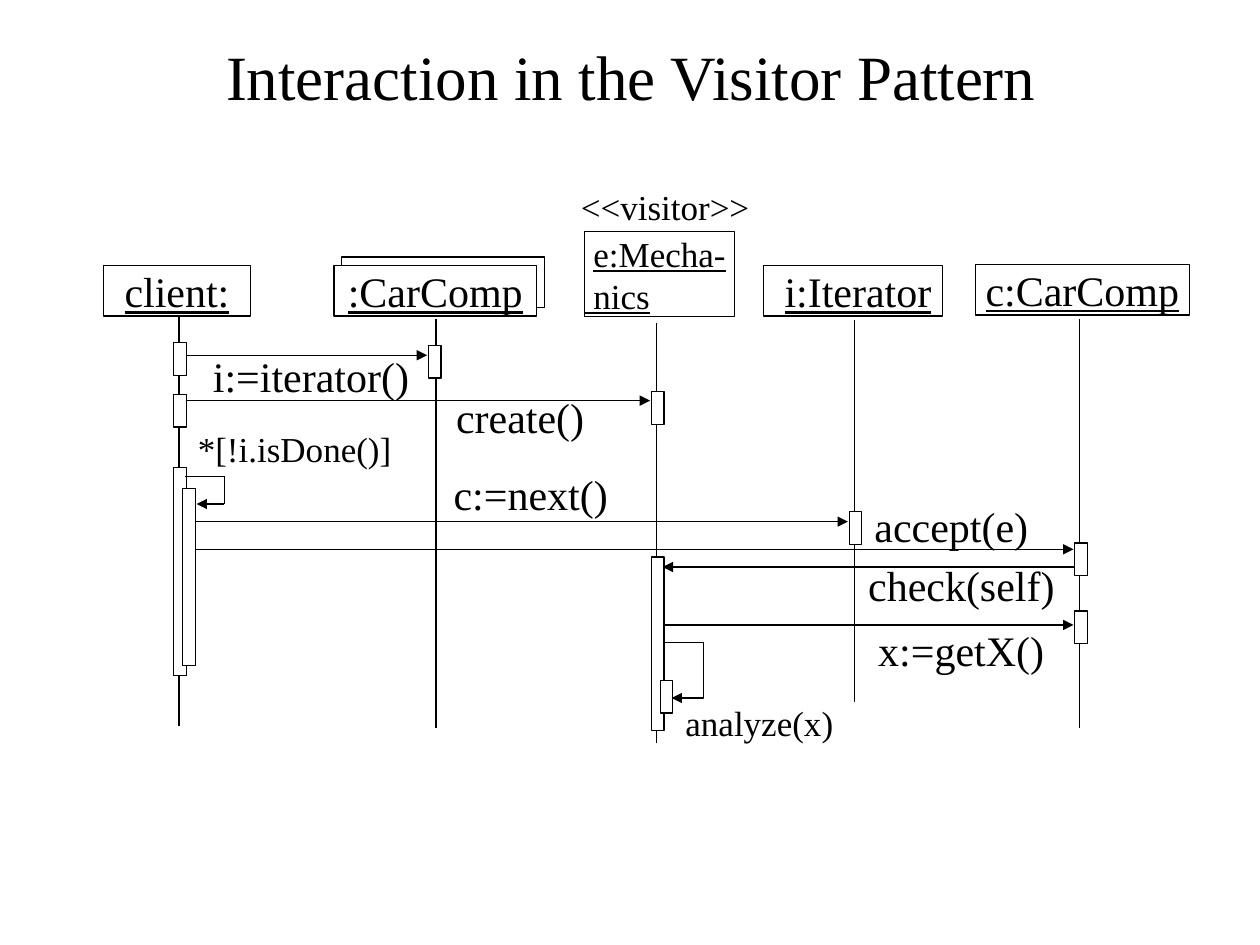
from pptx import Presentation
from pptx.dml.color import RGBColor
from pptx.enum.shapes import MSO_CONNECTOR, MSO_SHAPE
from pptx.enum.text import MSO_ANCHOR, MSO_AUTO_SIZE, PP_ALIGN
from pptx.oxml.ns import qn
from pptx.util import Inches, Pt
from lxml import etree

BLACK = RGBColor(0, 0, 0)
WHITE = RGBColor(255, 255, 255)
FONT = "Times New Roman"
RECT = MSO_SHAPE.RECTANGLE
STRAIGHT, ELBOW = MSO_CONNECTOR.STRAIGHT, MSO_CONNECTOR.ELBOW
LEFT, CENTER = PP_ALIGN.LEFT, PP_ALIGN.CENTER
TOP, MIDDLE = MSO_ANCHOR.TOP, MSO_ANCHOR.MIDDLE
GROW = MSO_AUTO_SIZE.SHAPE_TO_FIT_TEXT

TITLE = "Interaction in the Visitor Pattern"
BAR, CALL = 0.1, 0.26          # width of a bar, height of a short one
ROW = {24: 0.4, 20: 0.33}      # line height by text size

# lifelines: name -> x, top, bottom, left edge of bars
LIVES = {
    "client": (1.42, 2.51, 5.76, 1.38),
    "list": (3.46, 2.53, 5.78, 3.4),
    "visitor": (5.21, 2.56, 5.9, 5.17),
    "iterator": (6.78, 2.54, 5.79, 6.74),
    "comp": (8.57, 2.53, 5.78, 8.53),
}
# heads: lines of (words, underlined) runs, left, top, width, height, size,
# left inset
HEADS = [
    ([[("client:", True)]], 0.82, 2.11, 1.17, 0.4, 24, 0),
    ([], 2.71, 2.04, 1.61, 0.4, 24, 0),
    ([[(":CarComp", True)]], 2.65, 2.11, 1.61, 0.4, 24, 0),
    ([[(" ", False), ("e:Mecha-", True)], [(" nics", True)]],
     4.64, 1.84, 1.19, 0.67, 20, 0),
    ([[("i:Iterator", True)]], 6.06, 2.11, 1.42, 0.4, 24, 0.08),
    ([[("c:CarComp", True)]], 7.74, 2.1, 1.7, 0.4, 24, 0),
]
# bars: lifeline, shift right, top, height
BARS = [
    ("client", 0, 2.72, CALL),
    ("client", 0, 3.13, CALL),
    ("client", 0, 3.71, 1.65),
    ("client", 0.07, 3.88, 1.4),
    ("list", 0, 2.74, CALL),
    ("visitor", 0, 3.11, CALL),
    ("visitor", 0, 4.42, 1.38),
    ("visitor", 0.07, 5.4, CALL),
    ("iterator", 0, 4.06, CALL),
    ("comp", 0, 4.31, CALL),
    ("comp", 0, 4.85, CALL),
]
# messages: from, shift right, to, y
CALLS = [
    ("client", 0, "list", 2.82),
    ("client", 0, "visitor", 3.18),
    ("client", 0.07, "iterator", 4.14),
    ("client", 0.07, "comp", 4.36),
    ("comp", 0, "visitor", 4.5),
    ("visitor", 0, "comp", 4.96),
]
# labels: words, left, top, width, size
LABELS = [
    ("i:=iterator()", 1.69, 2.78, 1.58, 24),
    ("create()", 3.62, 3.11, 1.04, 24),
    ("*[!i.isDone()]", 1.57, 3.39, 1.56, 20),
    ("c:=next()", 3.6, 3.72, 1.25, 24),
    ("accept(e)", 6.94, 3.97, 1.25, 24),
    ("check(self)", 6.89, 4.44, 1.51, 24),
    ("x:=getX()", 6.97, 4.96, 1.34, 24),
    ("<<visitor>>", 4.61, 1.47, 1.36, 20),
]


def write(frame, lines, size, align=LEFT):
    for i, runs in enumerate(lines):
        para = frame.paragraphs[0] if i == 0 else frame.add_paragraph()
        para.alignment = align
        for words, under in runs:
            run = para.add_run()
            run.text = words
            font = run.font
            font.name, font.size, font.underline = FONT, Pt(size), under
            font.color.rgb = BLACK


def plain(words):
    """One line of one run with no underline."""
    return [[(words, False)]]


def clear(frame, anchor=TOP, inset=0, wrap=False):
    frame.margin_top = frame.margin_right = frame.margin_bottom = 0
    frame.margin_left = Inches(inset)
    frame.vertical_anchor = anchor
    frame.word_wrap = wrap


def box(shapes, *place, edge=True):
    shape = shapes.add_shape(RECT, *map(Inches, place))
    shape.shadow.inherit = False
    shape.fill.solid()
    shape.fill.fore_color.rgb = WHITE
    if edge:
        shape.line.color.rgb = BLACK
        shape.line.width = Pt(0.75)
    else:
        shape.line.fill.background()
    return shape


def line(shapes, *ends, arrow=False, kind=STRAIGHT):
    link = shapes.add_connector(kind, *map(Inches, ends))
    link.line.color.rgb = BLACK
    link.line.width = Pt(0.75)
    props = link._element.spPr
    if arrow:
        etree.SubElement(props.find(qn("a:ln")), qn("a:tailEnd"), type="triangle")
    etree.SubElement(props, qn("a:effectLst"))
    return link


def bend(link, share):
    """Put the elbow at a share of the connector's width."""
    geom = link._element.spPr.find(qn("a:prstGeom"))
    guides = geom.find(qn("a:avLst"))
    if guides is None:
        guides = etree.SubElement(geom, qn("a:avLst"))
    etree.SubElement(guides, qn("a:gd"), name="adj1",
                     fmla=f"val {round(share * 100000)}")


def side(name):
    """Left edge of the bars on a lifeline."""
    return LIVES[name][3]


def main():
    deck = Presentation()
    deck.slide_width, deck.slide_height = Inches(10), Inches(7.5)
    slide = deck.slides.add_slide(deck.slide_layouts[5])
    shapes = slide.shapes

    title = shapes.title
    title.left, title.top, title.width, title.height = map(
        Inches, (0.23, 0.24, 9.56, 0.72))
    title.text_frame.vertical_anchor = MIDDLE
    write(title.text_frame, plain(TITLE), 36, CENTER)

    for x, top, end, _ in LIVES.values():
        line(shapes, x, top, x, end)
    for lines, x, y, wide, high, size, inset in HEADS:
        frame = box(shapes, x, y, wide, high).text_frame
        clear(frame, MIDDLE, inset)
        write(frame, lines, size, LEFT if len(lines) > 1 else CENTER)
    for name, shift, top, high in BARS:
        box(shapes, side(name) + shift, top, BAR, high)

    for start, shift, end, y in CALLS:
        a, b = side(start), side(end)
        if a < b:
            a += BAR + shift
        else:
            b += BAR
        line(shapes, a, y, b - 0.01, y, arrow=True)

    # the loop on the client, then the visitor's call to itself
    near, far, top, low = 1.47, 1.78, 3.78, 4
    line(shapes, near, top, far, top)
    line(shapes, far, top, far, low)
    line(shapes, far, low, near + 0.09, low, arrow=True)
    bend(line(shapes, 5.26, 5.1, 5.33, 5.54, arrow=True, kind=ELBOW), 4.6)

    for words, x, y, wide, size in LABELS:
        frame = shapes.add_textbox(
            *map(Inches, (x, y, wide, ROW[size]))).text_frame
        clear(frame)
        frame.auto_size = GROW
        write(frame, plain(words), size)
    note = box(shapes, 5.44, 5.57, 2.06, ROW[20], edge=False).text_frame
    clear(note, wrap=True)
    write(note, plain("analyze(x)"), 20)

    deck.save("out.pptx")


if __name__ == "__main__":
    main()
